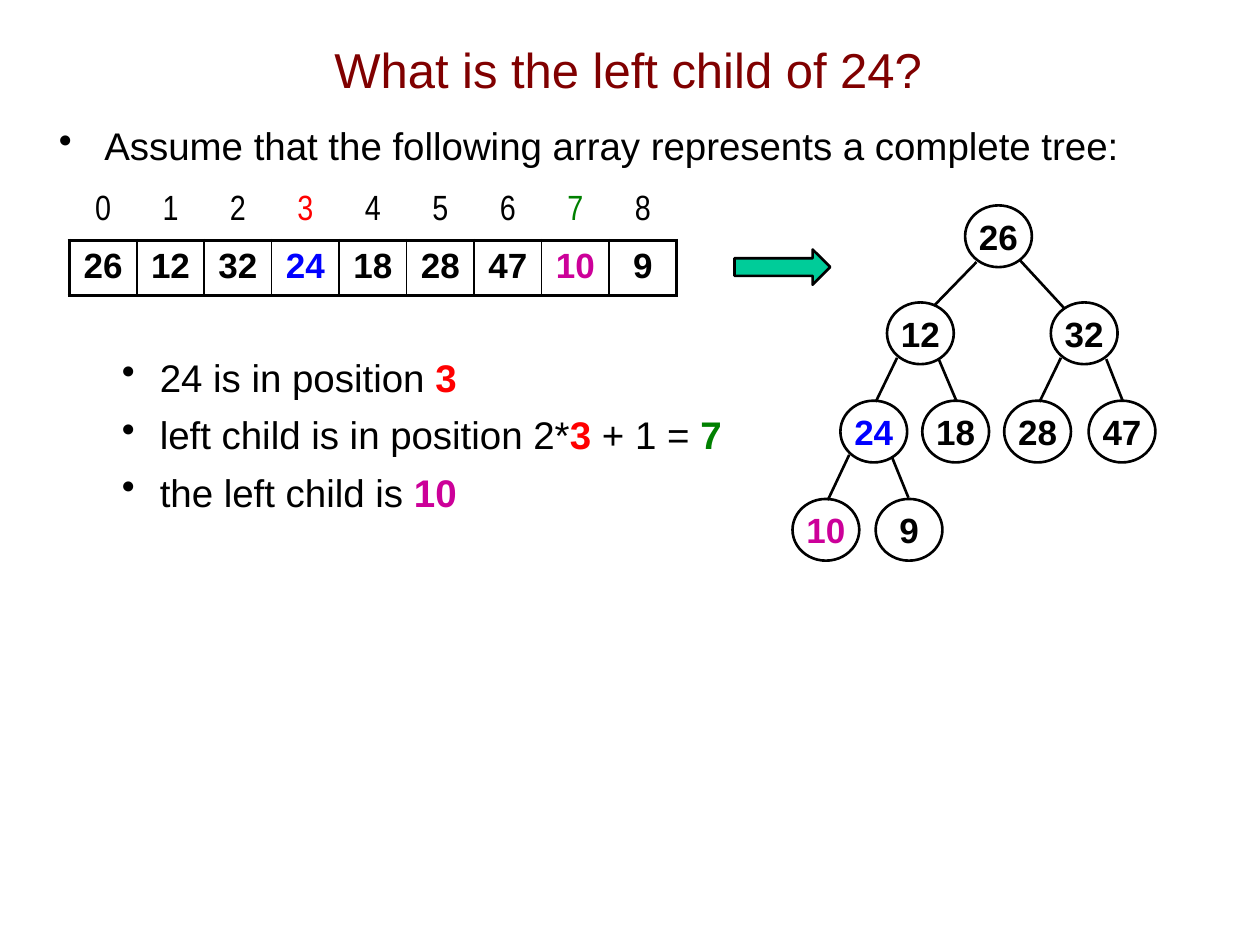
"""Build the slide that finds the left child of 24 in an array-backed complete tree."""
from dataclasses import dataclass

from lxml import etree
from pptx import Presentation
from pptx.dml.color import RGBColor
from pptx.enum.shapes import MSO_CONNECTOR, MSO_SHAPE
from pptx.enum.text import MSO_ANCHOR, PP_ALIGN
from pptx.oxml.ns import qn
from pptx.util import Inches, Pt

STRAIGHT = MSO_CONNECTOR.STRAIGHT
ELLIPSE, RIGHT_ARROW = MSO_SHAPE.OVAL, MSO_SHAPE.RIGHT_ARROW
CENTER, MIDDLE = PP_ALIGN.CENTER, MSO_ANCHOR.MIDDLE


@dataclass(frozen=True)
class Theme:
    font: str = "Arial"
    narrow: str = "Arial Narrow"
    title_size: float = 28
    body_size: float = 22
    node_size: float = 20
    outline: float = 1.5
    frame: float = 2.25
    rule: float = 1
    ink: str = "000000"
    paper: str = "FFFFFF"
    heading: str = "800000"
    position: str = "FF0000"
    parent: str = "0000FF"
    child_position: str = "008000"
    child: str = "CC0099"
    arrow: str = "00CC99"


class TreeSlide:
    def __init__(self, slide, theme):
        self.slide, self.theme = slide, theme

    def style(self, paragraph, size, color=None, bold=None, font=None):
        paragraph.font.name = font or self.theme.font
        paragraph.font.size = Pt(size)
        paragraph.font.bold = bold
        if color:
            paragraph.font.color.rgb = RGBColor.from_string(color)

    def outline(self, shape):
        shape.line.color.rgb = RGBColor.from_string(self.theme.ink)
        shape.line.width = Pt(self.theme.outline)

    def text_frame(self, left, top, width, height):
        box = self.slide.shapes.add_textbox(*map(Inches, (left, top, width, height)))
        box.text_frame.word_wrap = True
        return box.text_frame

    def title(self, text, *place):
        frame = self.text_frame(*place)
        frame.vertical_anchor = MIDDLE
        heading = frame.paragraphs[0]
        heading.text = text
        heading.alignment = CENTER
        self.style(heading, self.theme.title_size, self.theme.heading)

    def bullets(self, items, *place):
        frame = self.text_frame(*place)
        for index, (margin, hanging, space, runs) in enumerate(items):
            item = frame.add_paragraph() if index else frame.paragraphs[0]
            item.space_before = Pt(space)
            self.style(item, self.theme.body_size)
            properties = item._p.get_or_add_pPr()
            properties.set("marL", str(Inches(margin)))
            properties.set("indent", str(-Inches(hanging)))
            bullet = etree.Element(qn("a:buChar"), char="•")
            properties.insert_element_before(bullet, "a:tabLst", "a:defRPr", "a:extLst")
            for text, highlight in runs:
                run = item.add_run()
                run.text = text
                run.font.bold = bool(highlight)
                run.font.color.rgb = RGBColor.from_string(highlight or self.theme.ink)

    def border(self, cell, side, color, width):
        line = etree.SubElement(cell._tc.get_or_add_tcPr(), qn(f"a:ln{side}"), w=str(Pt(width)))
        fill = etree.SubElement(line, qn("a:solidFill"))
        etree.SubElement(fill, qn("a:srgbClr"), val=color)

    def array_row(self, values, highlights, place, line_color, frame_width, bold, font):
        grid = self.slide.shapes.add_table(1, len(values), *map(Inches, place)).table
        grid.first_row = grid.horz_banding = False
        last = len(values) - 1
        for index, value in enumerate(values):
            cell = grid.cell(0, index)
            entry = cell.text_frame.paragraphs[0]
            entry.text = str(value)
            entry.alignment = CENTER
            self.style(entry, self.theme.node_size, highlights.get(value, self.theme.ink), bold, font)
            widths = {
                "L": self.theme.rule if index else frame_width,
                "R": self.theme.rule if index < last else frame_width,
                "T": frame_width,
                "B": frame_width,
            }
            for side, width in widths.items():
                self.border(cell, side, line_color, width)
            cell.fill.background()

    def preset(self, kind, *place):
        shape = self.slide.shapes.add_shape(kind, *map(Inches, place))
        shape.shadow.inherit = False
        self.outline(shape)
        return shape

    def node(self, value, left, top, color):
        circle = self.preset(ELLIPSE, left, top, 0.53, 0.49)
        circle.fill.background()
        frame = circle.text_frame
        frame.margin_left = frame.margin_right = frame.margin_top = frame.margin_bottom = 0
        frame.vertical_anchor = MIDDLE
        frame.word_wrap = False
        label = frame.paragraphs[0]
        label.text = str(value)
        label.alignment = CENTER
        self.style(label, self.theme.node_size, color, True)

    def edge(self, *ends):
        branch = self.slide.shapes.add_connector(STRAIGHT, *map(Inches, ends))
        self.outline(branch)
        etree.SubElement(branch._element.spPr, qn("a:effectLst"))

    def arrow(self, *place):
        shape = self.preset(RIGHT_ARROW, *place)
        shape.fill.solid()
        shape.fill.fore_color.rgb = RGBColor.from_string(self.theme.arrow)


def main():
    theme = Theme()
    deck = Presentation()
    deck.slide_width, deck.slide_height = Inches(10), Inches(7.5)
    page = TreeSlide(deck.slides.add_slide(deck.slide_layouts[6]), theme)

    steps = [
        [("24 is in position ", None), ("3", theme.position)],
        [("left child is in position 2*", None), ("3", theme.position),
         (" + 1 = ", None), ("7", theme.child_position)],
        [("the left child is ", None), ("10", theme.child)],
    ]
    premise = [("Assume that the following array represents a complete tree:", None)]
    items = [(0.36, 0.36, 0, premise)]
    items += [(0.8, 0.3, space, runs) for space, runs in zip((106, 6.4, 6.4), steps)]
    page.bullets(items, 0.37, 0.92, 9.17, 6.14)
    page.title("What is the left child of 24?", 0.58, 0.08, 8.81, 0.93)

    values = [26, 12, 32, 24, 18, 28, 47, 10, 9]
    value_colors = {24: theme.parent, 10: theme.child}
    index_colors = {3: theme.position, 7: theme.child_position}
    page.array_row(range(len(values)), index_colors, (0.55, 1.5, 4.82, 0.42),
                   theme.paper, theme.rule, False, theme.narrow)
    page.array_row(values, value_colors, (0.55, 1.91, 4.82, 0.42),
                   theme.ink, theme.frame, True, theme.font)
    page.arrow(5.83, 1.98, 0.76, 0.28)

    level_tops = [1.63, 2.4, 3.18, 3.96]
    node_lefts = [7.66, 7.04, 8.34, 6.67, 7.32, 7.97, 8.64, 6.29, 6.95]
    for index, (value, left) in enumerate(zip(values, node_lefts)):
        level = (index + 1).bit_length() - 1
        page.node(value, left, level_tops[level], value_colors.get(value, theme.ink))

    branches = [
        (7.75, 2.08, 7.42, 2.42), (8.09, 2.06, 8.45, 2.45),
        (7.12, 2.84, 6.95, 3.19), (7.45, 2.85, 7.59, 3.18),
        (8.42, 2.84, 8.25, 3.19), (8.78, 2.85, 8.91, 3.18),
        (6.74, 3.61, 6.57, 3.97), (7.08, 3.63, 7.21, 3.95),
    ]
    for ends in branches:
        page.edge(*ends)

    deck.save("out.pptx")


if __name__ == "__main__":
    main()
